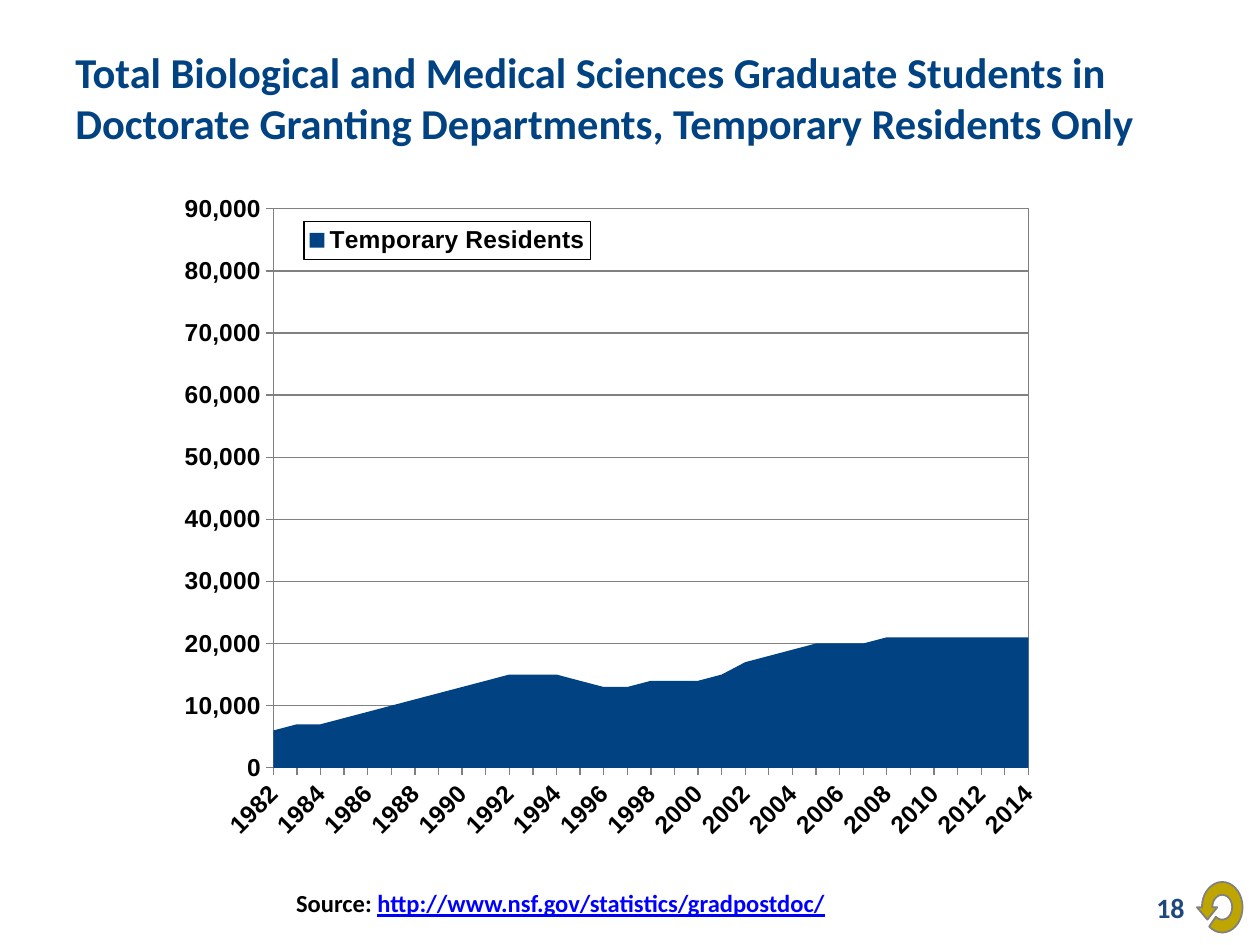
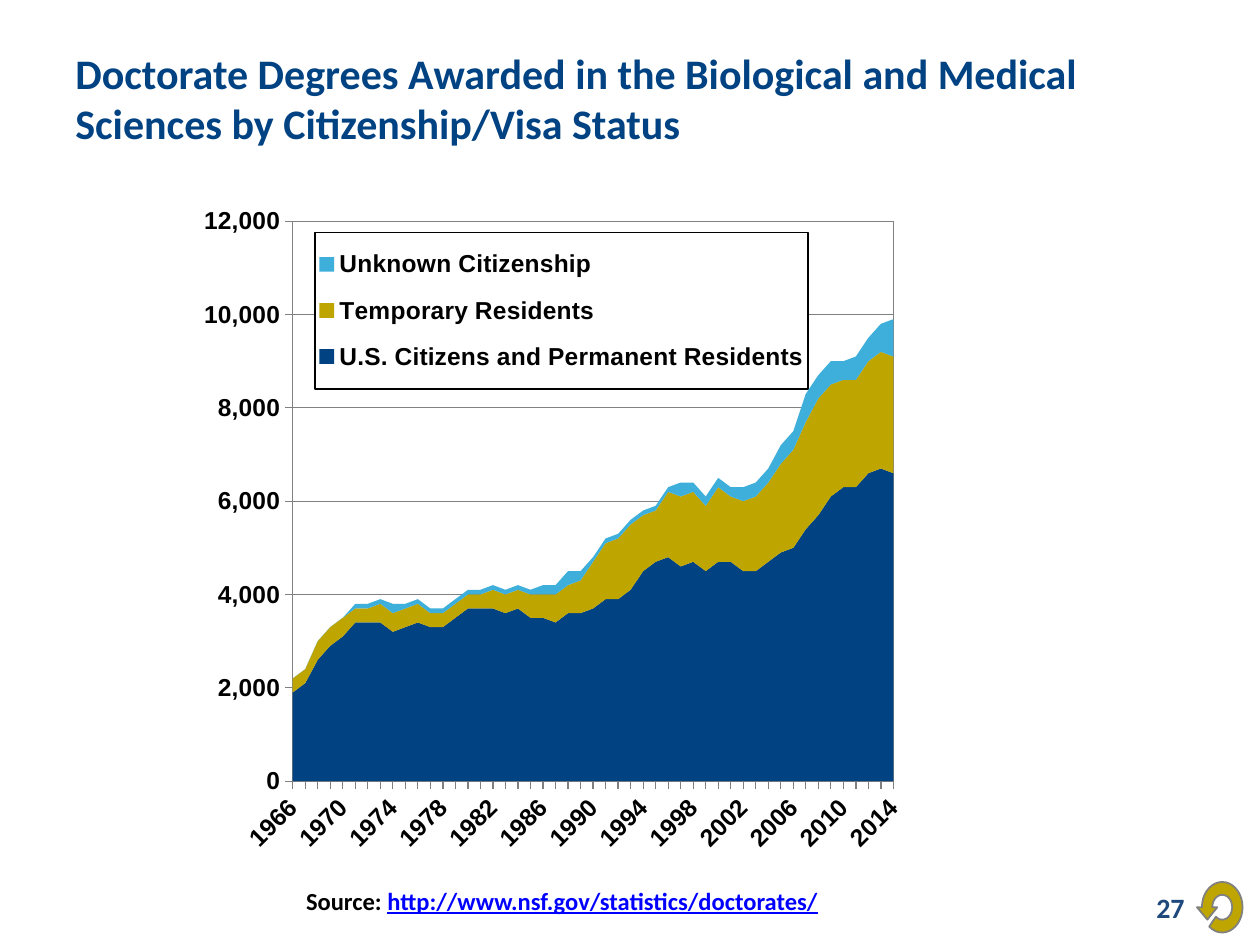
import math

import lxml.etree
import pptx
import pptx.chart.data
import pptx.dml.color
import pptx.enum.chart
import pptx.enum.text
import pptx.oxml
import pptx.oxml.ns
import pptx.util

Cm = pptx.util.Cm
Pt = pptx.util.Pt
RGBColor = pptx.dml.color.RGBColor

NAVY = RGBColor(0x00, 0x42, 0x82)
GOLD = RGBColor(0xBF, 0xA5, 0x00)
SKY = RGBColor(0x3E, 0xAE, 0xDA)
NUMBER_BLUE = RGBColor(0x1F, 0x49, 0x7D)
LINK_BLUE = RGBColor(0x00, 0x00, 0xFF)
GRAY = RGBColor(0x80, 0x80, 0x80)
BLACK = RGBColor(0x00, 0x00, 0x00)

STUDENTS = [
    ("Temporary Residents", NAVY, [
        6000, 7000, 7000, 8000, 9000, 10000, 11000, 12000, 13000, 14000, 15000,
        15000, 15000, 14000, 13000, 13000, 14000, 14000, 14000, 15000, 17000,
        18000, 19000, 20000, 20000, 20000, 21000, 21000, 21000, 21000, 21000,
        21000, 21000]),
]
DOCTORATES = [
    ("U.S. Citizens and Permanent Residents", NAVY, [
        1900, 2100, 2600, 2900, 3100, 3400, 3400, 3400, 3200, 3300, 3400, 3300,
        3300, 3500, 3700, 3700, 3700, 3600, 3700, 3500, 3500, 3400, 3600, 3600,
        3700, 3900, 3900, 4100, 4500, 4700, 4800, 4600, 4700, 4500, 4700, 4700,
        4500, 4500, 4700, 4900, 5000, 5400, 5700, 6100, 6300, 6300, 6600, 6700,
        6600]),
    ("Temporary Residents", GOLD, [
        300, 300, 400, 400, 400, 300, 300, 400, 400, 400, 400, 300, 300, 300,
        300, 300, 400, 400, 400, 500, 500, 600, 600, 700, 1000, 1200, 1300,
        1400, 1200, 1100, 1400, 1500, 1500, 1400, 1600, 1400, 1500, 1600, 1700,
        1900, 2100, 2300, 2500, 2400, 2300, 2300, 2400, 2500, 2500]),
    ("Unknown Citizenship", SKY, [
        0, 0, 0, 0, 0, 100, 100, 100, 200, 100, 100, 100, 100, 100, 100, 100,
        100, 100, 100, 100, 200, 200, 300, 200, 100, 100, 100, 100, 100, 100,
        100, 300, 200, 200, 200, 200, 300, 300, 300, 400, 400, 600, 500, 500,
        400, 500, 500, 600, 800]),
]


def add_text(paragraph, text, size=14, color=BLACK, underline=None):
    """Append a bold Calibri run to a paragraph."""
    run = paragraph.add_run()
    run.text = text
    font = run.font
    font.name, font.size, font.bold = "Calibri", Pt(size), True
    font.color.rgb = color
    font.underline = underline


def chart_xml(parent, tag, **attributes):
    """Return a new chart element appended to its parent."""
    child = lxml.etree.SubElement(parent, pptx.oxml.ns.qn(tag))
    for key, value in attributes.items():
        child.set(key, str(value))
    return child


def add_outline(parent, fill, color):
    """Append shape properties with a fill and a thin line."""
    body = f'<a:solidFill><a:srgbClr val="{fill}"/></a:solidFill>' if fill else "<a:noFill/>"
    parent.append(pptx.oxml.parse_xml(
        f'<c:spPr {pptx.oxml.ns.nsdecls("c", "a")}>{body}<a:ln w="9525"><a:solidFill>'
        f'<a:srgbClr val="{color}"/></a:solidFill></a:ln></c:spPr>'))


def set_layout(part, area, frame, inner=False):
    """Place a chart part at an area given in slide centimetres."""
    for old in part.findall(pptx.oxml.ns.qn("c:layout")):
        part.remove(old)
    layout = chart_xml(part, "c:layout")
    manual = chart_xml(layout, "c:manualLayout")
    if inner:
        chart_xml(manual, "c:layoutTarget", val="inner")
    for key in "xy":
        chart_xml(manual, f"c:{key}Mode", val="edge")
    left, top, width, height = frame
    ratios = ((area[0] - left) / width, (area[1] - top) / height,
              area[2] / width, area[3] / height)
    for key, ratio in zip("xywh", ratios):
        chart_xml(manual, f"c:{key}", val=round(ratio, 4))
    return layout


class Deck:
    """Holds the presentation style and the current slide."""

    def __init__(self):
        self.presentation = pptx.Presentation()
        self.presentation.slide_width = Cm(25.4)
        self.presentation.slide_height = Cm(19.05)
        self.slide = None

    def start_slide(self, title, number, title_size=24):
        """Add a slide with its title, page number and return arrow."""
        self.slide = self.presentation.slides.add_slide(self.presentation.slide_layouts[6])
        middle = pptx.enum.text.MSO_ANCHOR.MIDDLE
        add_text(self.box(1.27, 0.76, 23.37, 2.41, middle), title, title_size, NAVY)
        page = self.box(18.21, 17.78, 5.92, 1.02, middle)
        page.alignment = pptx.enum.text.PP_ALIGN.RIGHT
        add_text(page, str(number), 16, NUMBER_BLUE)
        self.return_arrow(24.64, 18.29)

    def box(self, left, top, width, height, anchor=pptx.enum.text.MSO_ANCHOR.TOP):
        """Add a text box and return its first paragraph."""
        frame = self.slide.shapes.add_textbox(Cm(left), Cm(top), Cm(width), Cm(height)).text_frame
        frame.word_wrap = True
        frame.vertical_anchor = anchor
        return frame.paragraphs[0]

    def source(self, left, top, address):
        """Add the source line."""
        line = self.box(left, top, 22.43, 0.86)
        add_text(line, "Source: ")
        add_text(line, address, color=LINK_BLUE, underline=True)

    def return_arrow(self, x, y):
        """Draw the round arrow about its centre."""
        def arc(angles, rx, ry):
            return [(x + rx * math.cos(math.radians(a)), y + ry * math.sin(math.radians(a)))
                    for a in angles]

        head = [(x - 0.51, y), (x - 0.3, y + 0.25), (x - 0.1, y)]
        outline = arc(range(180, 491, 10), 0.2, 0.25) + arc(range(490, 179, -10), 0.41, 0.51) + head
        points = [(Cm(px), Cm(py)) for px, py in outline]
        builder = self.slide.shapes.build_freeform(*points[0])
        builder.add_line_segments(points[1:], close=True)
        arrow = builder.convert_to_shape()
        arrow.shadow.inherit = False
        arrow.fill.solid()
        arrow.fill.fore_color.rgb = GOLD
        arrow.line.color.rgb = GRAY
        arrow.line.width = Pt(1)

    def area_chart(self, frame, plot, legend, years, series, top_value, step, label_skip):
        """Add a stacked area chart over a range of years."""
        data = pptx.chart.data.CategoryChartData(number_format="#,##0")
        data.categories = [str(year) for year in years]
        for name, _, values in series:
            data.add_series(name, values)
        chart = self.slide.shapes.add_chart(
            pptx.enum.chart.XL_CHART_TYPE.AREA_STACKED, *map(Cm, frame), data).chart
        chart.has_title = False
        chart.font.name, chart.font.size, chart.font.bold = "Arial", Pt(14), True
        chart.font.color.rgb = BLACK
        chart.plots[0].vary_by_categories = False
        for band, (_, color, _) in zip(chart.plots[0].series, series):
            band.format.fill.solid()
            band.format.fill.fore_color.rgb = color
            band.format.line.fill.background()

        value_axis = chart.value_axis
        value_axis.minimum_scale, value_axis.maximum_scale = 0, top_value
        value_axis.major_unit = step
        value_axis.has_major_gridlines = True
        value_axis.tick_labels.number_format = "#,##0"
        value_axis.tick_labels.number_format_is_linked = False
        for axis in (chart.category_axis, value_axis):
            axis.major_tick_mark = pptx.enum.chart.XL_TICK_MARK.OUTSIDE
            axis.minor_tick_mark = pptx.enum.chart.XL_TICK_MARK.NONE
            axis.tick_labels.font.size = Pt(14)
            axis.tick_labels.font.bold = True
            axis.tick_labels.font.name = "Arial"
        for line in (chart.category_axis.format.line, value_axis.format.line,
                     value_axis.major_gridlines.format.line):
            line.color.rgb = GRAY
            line.width = Pt(0.75)

        chart.has_legend = True
        chart.legend.position = pptx.enum.chart.XL_LEGEND_POSITION.RIGHT
        chart.legend.include_in_layout = False
        chart.legend.font.size = Pt(14)
        chart.legend.font.bold = True
        chart.legend.font.name = "Arial"
        self.finish_chart(chart.element, frame, plot, legend, label_skip)

    def finish_chart(self, root, frame, plot, legend, label_skip):
        """Set the layouts, outlines and label rules of a chart."""
        plot_area = root.xpath("//c:plotArea")[0]
        plot_area.insert(0, set_layout(plot_area, plot, frame, inner=True))
        add_outline(plot_area, None, GRAY)
        key = root.xpath("//c:legend")[0]
        layout = set_layout(key, legend, frame)
        key.find(pptx.oxml.ns.qn("c:legendPos")).addnext(layout)
        add_outline(key, "FFFFFF", BLACK)
        key.find(pptx.oxml.ns.qn("c:txPr")).addprevious(key[-1])
        years_axis = root.xpath("//c:catAx")[0]
        years_axis.xpath("c:txPr/a:bodyPr")[0].set("rot", "-2700000")
        last = years_axis.xpath("c:noMultiLvlLbl")[0]
        for tag, skip in (("c:tickLblSkip", label_skip), ("c:tickMarkSkip", 1)):
            last.addprevious(chart_xml(years_axis, tag, val=skip))
        root.xpath("//c:valAx/c:crossBetween")[0].set("val", "midCat")


def main():
    """Build both slides."""
    deck = Deck()
    deck.start_slide("Total Biological and Medical Sciences Graduate Students in "
                     "Doctorate Granting Departments, Temporary Residents Only", 18, 24.3)
    deck.area_chart(frame=(3.38, 3.86, 24.13, 13.41), plot=(5.51, 4.21, 15.22, 11.27),
                    legend=(6.13, 4.46, 5.77, 0.77), years=range(1982, 2015),
                    series=STUDENTS, top_value=90000, step=10000, label_skip=2)
    deck.source(5.72, 17.78, "http://www.nsf.gov/statistics/gradpostdoc/")

    deck.start_slide("Doctorate Degrees Awarded in the Biological and Medical "
                     "Sciences by Citizenship/Visa Status", 27)
    deck.area_chart(frame=(3.61, 3.91, 25.4, 13.54), plot=(5.9, 4.46, 12.11, 11.29),
                    legend=(6.35, 4.68, 9.94, 3.16), years=range(1966, 2015),
                    series=DOCTORATES, top_value=12000, step=2000, label_skip=4)
    deck.source(5.92, 17.73, "http://www.nsf.gov/statistics/doctorates/")
    deck.presentation.save("out.pptx")


if __name__ == "__main__":
    main()
